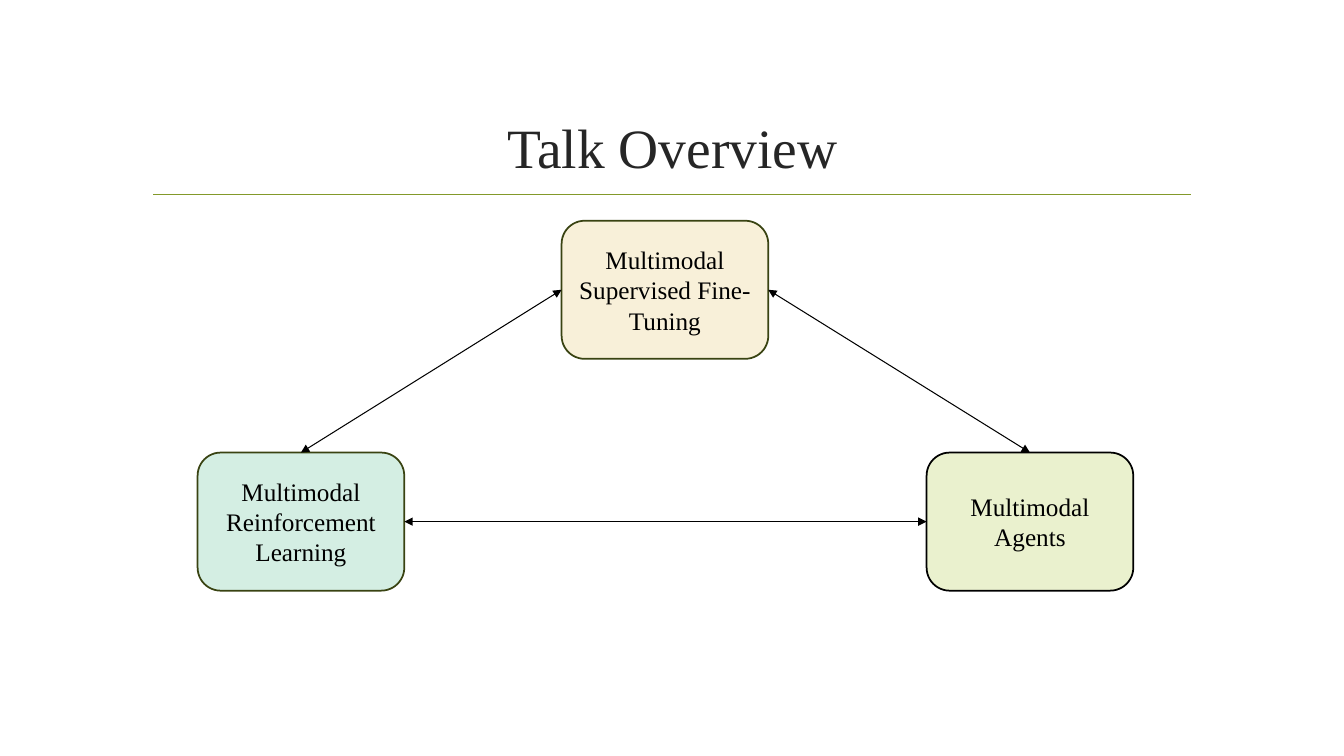
"""Build the talk overview slide: three linked topics."""
from dataclasses import dataclass

from lxml import etree
from pptx import Presentation
from pptx.dml.color import RGBColor
from pptx.enum.shapes import MSO_CONNECTOR, MSO_SHAPE
from pptx.enum.text import MSO_ANCHOR, PP_ALIGN
from pptx.oxml.ns import qn
from pptx.util import Inches, Pt

STRAIGHT = MSO_CONNECTOR.STRAIGHT
ROUNDED = MSO_SHAPE.ROUNDED_RECTANGLE
MIDDLE = MSO_ANCHOR.MIDDLE
CENTER = PP_ALIGN.CENTER
TOP, LEFT, RIGHT = 0, 1, 3


@dataclass(frozen=True)
class Theme:
    """Colours, font and sizes of the slide."""
    font: str = "Times New Roman"
    title_size: float = 39.6
    topic_size: float = 18
    title: str = "262626"
    ink: str = "000000"
    rule: str = "83992A"
    border: str = "394312"
    cream: str = "F8F0D9"
    mint: str = "D4EEE3"
    lime: str = "EAF1CE"
    thick: float = 1.25
    thin: float = 0.75


def write_text(frame, text, *, font, size, color):
    """Fill a text frame with centred paragraphs, one per line of text."""
    frame.word_wrap = True
    frame.vertical_anchor = MIDDLE
    for index, line in enumerate(text.split("\n")):
        para = frame.paragraphs[0] if index == 0 else frame.add_paragraph()
        para.alignment = CENTER
        span = para.add_run()
        span.text = line
        span.font.name = font
        span.font.size = Pt(size)
        span.font.color.rgb = RGBColor.from_string(color)


class SlideBuilder:
    """Draw styled elements on one slide."""

    def __init__(self, page, theme):
        """Keep the slide and its theme."""
        self.page = page
        self.theme = theme

    def title(self, text, left, top, width, height):
        """Add the heading."""
        box = self.page.shapes.add_textbox(
            Inches(left), Inches(top), Inches(width), Inches(height))
        write_text(box.text_frame, text, font=self.theme.font,
                   size=self.theme.title_size, color=self.theme.title)

    def topic(self, text, left, top, fill, border):
        """Add a rounded topic box."""
        box = self.page.shapes.add_shape(
            ROUNDED, Inches(left), Inches(top), Inches(2.05), Inches(1.37))
        box.shadow.inherit = False
        box.fill.solid()
        box.fill.fore_color.rgb = RGBColor.from_string(fill)
        box.line.color.rgb = RGBColor.from_string(border)
        box.line.width = Pt(self.theme.thick)
        write_text(box.text_frame, text, font=self.theme.font,
                   size=self.theme.topic_size, color=self.theme.ink)
        return box

    def line(self, start, end, color, width):
        """Add a straight line without shadow."""
        x1, y1, x2, y2 = (Inches(value) for value in (*start, *end))
        line = self.page.shapes.add_connector(STRAIGHT, x1, y1, x2, y2)
        line.line.color.rgb = RGBColor.from_string(color)
        line.line.width = Pt(width)
        etree.SubElement(line._element.spPr, qn("a:effectLst"))
        return line

    def link(self, source, source_side, target, target_side):
        """Join two topics with a double-headed arrow."""
        arrow = self.line((0, 0), (1, 1), self.theme.ink, self.theme.thin)
        arrow.begin_connect(source, source_side)
        arrow.end_connect(target, target_side)
        outline = arrow.line._get_or_add_ln()
        for tag in ("a:headEnd", "a:tailEnd"):
            etree.SubElement(outline, qn(tag), type="triangle")


def main():
    """Create and save the deck."""
    deck = Presentation()
    deck.slide_width, deck.slide_height = Inches(13.33), Inches(7.5)
    page = deck.slides.add_slide(deck.slide_layouts[6])
    theme = Theme()
    builder = SlideBuilder(page, theme)

    builder.line((1.52, 1.93), (11.81, 1.93), theme.rule, theme.thick)
    builder.title("Talk Overview", 1.42, 1.07, 10.5, 0.76)
    tuning = builder.topic("Multimodal\nSupervised Fine-Tuning",
                           5.57, 2.19, theme.cream, theme.border)
    learning = builder.topic("Multimodal\nReinforcement Learning",
                             1.96, 4.49, theme.mint, theme.border)
    agents = builder.topic("Multimodal\nAgents",
                           9.19, 4.49, theme.lime, theme.ink)
    builder.link(learning, TOP, tuning, LEFT)
    builder.link(agents, TOP, tuning, RIGHT)
    builder.link(agents, LEFT, learning, RIGHT)
    deck.save("out.pptx")


if __name__ == "__main__":
    main()
